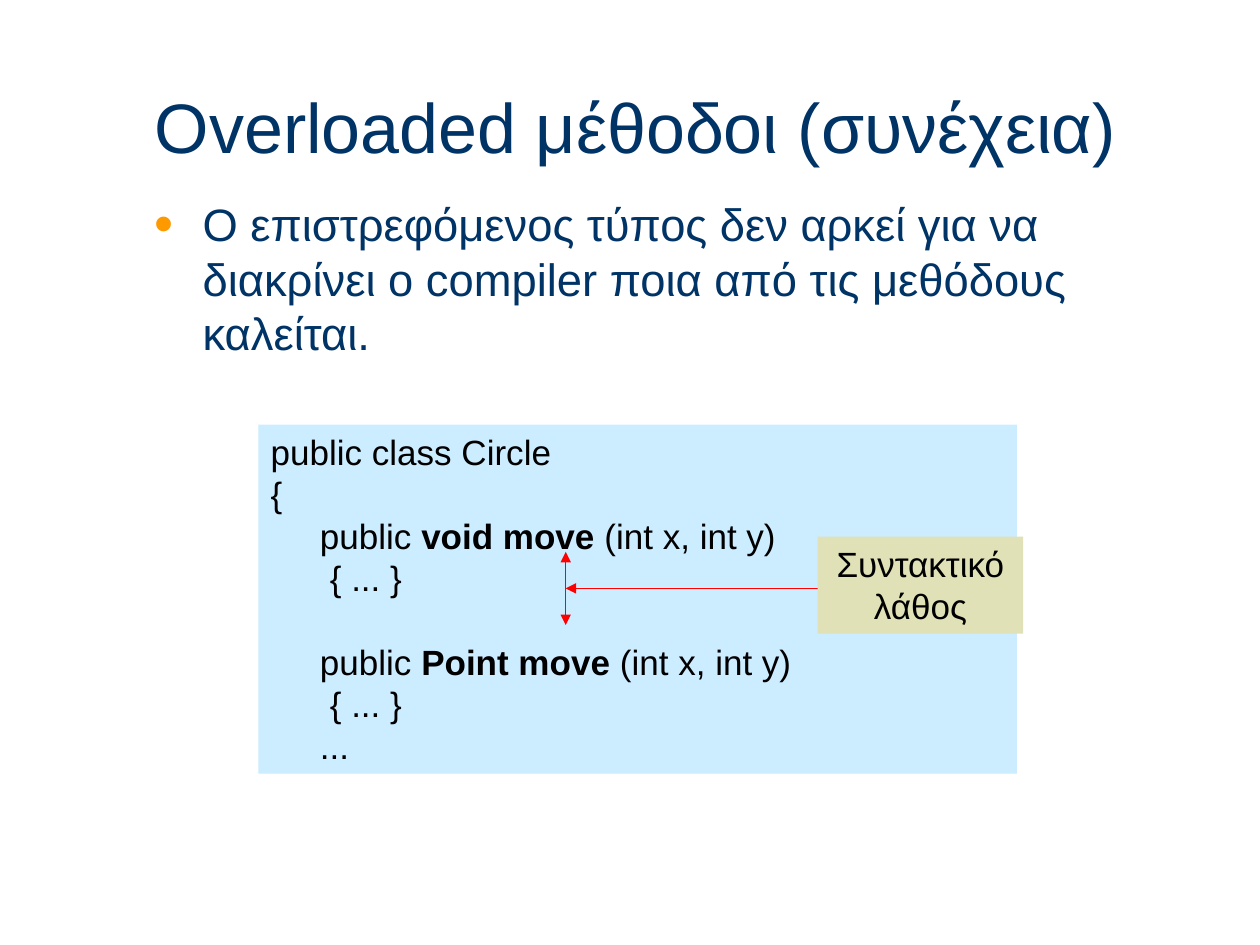
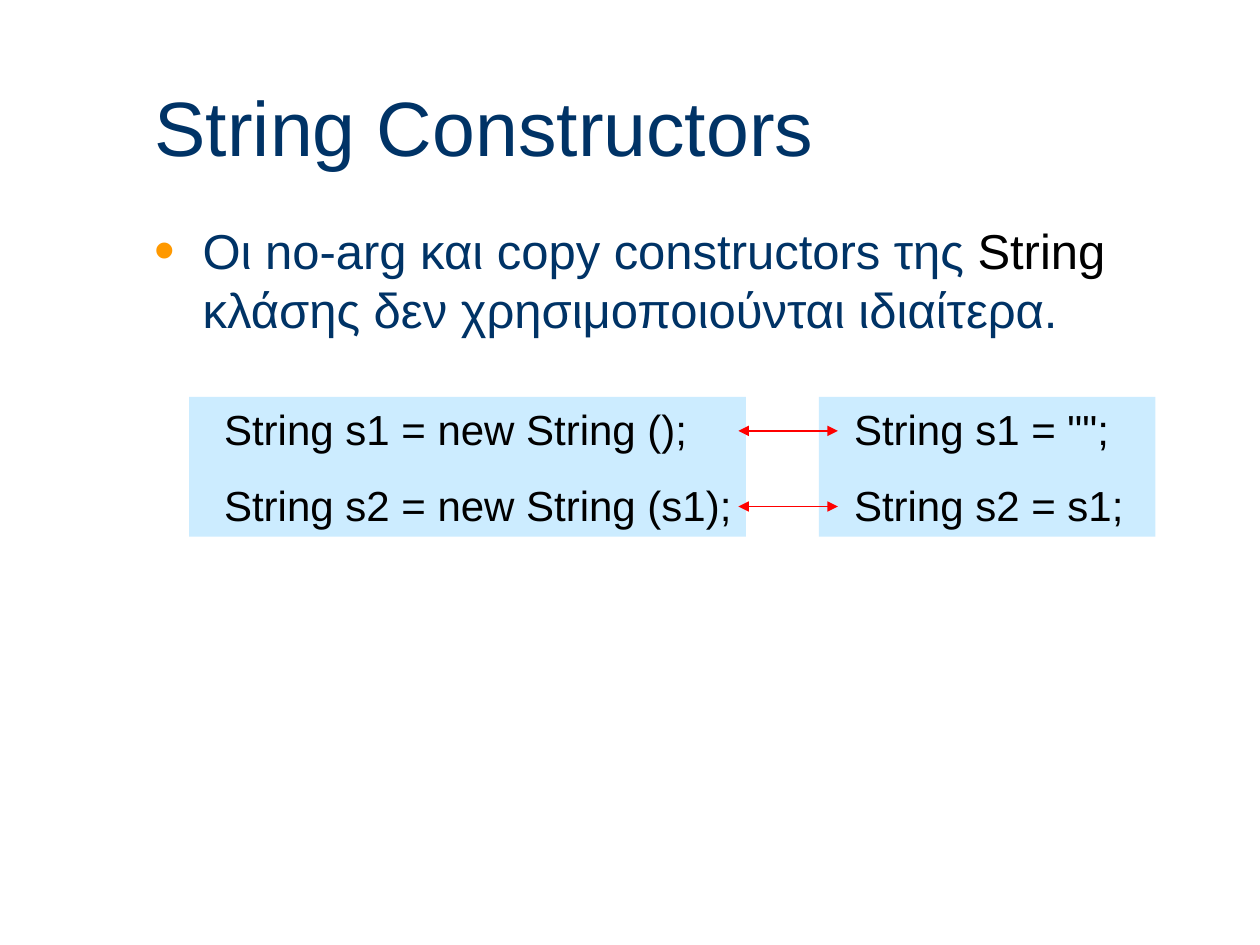
import dataclasses

import pptx
import pptx.dml.color
import pptx.enum.shapes
import pptx.enum.text
import pptx.oxml.ns
import pptx.util
from lxml import etree

RGB = pptx.dml.color.RGBColor.from_string
ANCHOR = pptx.enum.text.MSO_ANCHOR
ALIGN = pptx.enum.text.PP_ALIGN
Inches = pptx.util.Inches
Pt = pptx.util.Pt


@dataclasses.dataclass(frozen=True)
class Theme:
    font: str = "Arial"
    ink: str = "003366"
    code_ink: str = "000000"
    bullet: str = "FF9900"
    code_fill: str = "CCECFF"
    note_fill: str = "E1E1B7"
    arrow: str = "FF0000"
    arrow_width: float = 0.75
    code_size: int = 20
    large_code_size: int = 24
    code_indent: float = 0.39
    bullet_indent: float = 0.38


THEME = Theme()
WIDTH, HEIGHT = 10, 7.5
LEFT, CONTENT_WIDTH = 1.13, 8.5


def apply(target, formats):
    for name, value in formats.items():
        setattr(target, name, value)


def add_xml(parent, tag, **attributes):
    return etree.SubElement(parent, pptx.oxml.ns.qn(tag), attributes)


def write(paragraph, runs, size, color, **formats):
    """Fill a paragraph with (text, font overrides) runs; plain strings are allowed."""
    apply(paragraph, formats)
    for piece in [runs] if isinstance(runs, str) else runs:
        text, overrides = (piece, {}) if isinstance(piece, str) else piece
        run = paragraph.add_run()
        run.text = text
        style = {"name": THEME.font, "size": Pt(size), "bold": False, **overrides}
        run.font.color.rgb = RGB(style.pop("color", color))
        apply(run.font, style)


def indent(paragraph, left, hanging=0.0):
    properties = paragraph._p.get_or_add_pPr()
    properties.set("marL", str(Inches(left)))
    properties.set("indent", str(-Inches(hanging)))
    return properties


def add_text_area(slide, box, anchor=ANCHOR.TOP):
    frame = slide.shapes.add_textbox(*map(Inches, box)).text_frame
    apply(frame, {"word_wrap": True, "vertical_anchor": anchor})
    return frame.paragraphs[0]


def add_title(slide, text, size):
    paragraph = add_text_area(slide, (LEFT, 0.53, CONTENT_WIDTH, 0.94), ANCHOR.MIDDLE)
    write(paragraph, text, size, THEME.ink)


def add_bullet(slide, runs, top, width, height, size):
    paragraph = add_text_area(slide, (LEFT, top, width, height))
    write(paragraph, runs, size, THEME.ink, space_before=Pt(10.5))
    properties = indent(paragraph, THEME.bullet_indent, THEME.bullet_indent)
    add_xml(add_xml(properties, "a:buClr"), "a:srgbClr", val=THEME.bullet)
    add_xml(properties, "a:buSzPct", val="120000")
    add_xml(properties, "a:buFont", typeface=THEME.font)
    add_xml(properties, "a:buChar", char="•")


def add_panel(slide, box, fill):
    """Add a borderless filled rectangle and return its text frame."""
    panel = slide.shapes.add_shape(
        pptx.enum.shapes.MSO_SHAPE.RECTANGLE, *map(Inches, box))
    panel.shadow.inherit = False
    panel.fill.solid()
    panel.fill.fore_color.rgb = RGB(fill)
    panel.line.fill.background()
    apply(panel.text_frame, {"word_wrap": True, "vertical_anchor": ANCHOR.TOP})
    return panel.text_frame


def add_code(slide, box, lines, size):
    """Write (runs, left indent, space before in points) lines on a code panel."""
    frame = add_panel(slide, box, THEME.code_fill)
    for row, (runs, left, gap) in enumerate(lines):
        paragraph = frame.add_paragraph() if row else frame.paragraphs[0]
        write(paragraph, runs, size, THEME.code_ink,
              alignment=ALIGN.LEFT, space_before=Pt(gap))
        indent(paragraph, left)


def add_arrow(slide, start, end, both_ends=True):
    arrow = slide.shapes.add_connector(
        pptx.enum.shapes.MSO_CONNECTOR.STRAIGHT, *map(Inches, (*start, *end)))
    arrow.line.color.rgb = RGB(THEME.arrow)
    arrow.line.width = Pt(THEME.arrow_width)
    outline = arrow.line._get_or_add_ln()
    for tag in ("a:headEnd", "a:tailEnd") if both_ends else ("a:tailEnd",):
        add_xml(outline, tag, type="triangle")
    add_xml(arrow._element.spPr, "a:effectLst")


def build_overloading(slide):
    add_title(slide, "Overloaded μέθοδοι (συνέχεια)", 40)
    add_bullet(slide, "Ο επιστρεφόμενος τύπος δεν αρκεί για να διακρίνει ο "
               "compiler ποια από τις μεθόδους καλείται.",
               1.51, CONTENT_WIDTH, 1.42, 25.9)

    member, body, blank_line = THEME.code_indent, THEME.code_indent + 0.08, 24

    def method(signature, gap):
        return [(["public ", (signature, {"bold": True}), " (int x, int y)"],
                 member, gap), ("{ ... }", body, 0)]

    add_code(slide, (2.05, 3.37, 6.02, 2.77),
             [("public class Circle", 0, 0), ("{", 0, 0),
              *method("void move", 0), *method("Point move", blank_line),
              ("...", member, 0)], THEME.code_size)

    clash_x, clash_y, reach = 4.49, 4.67, 0.29
    add_arrow(slide, (clash_x, clash_y - reach), (clash_x, clash_y + reach))
    add_arrow(slide, (6.69, clash_y), (clash_x, clash_y), both_ends=False)
    note = add_panel(slide, (6.49, 4.26, 1.63, 0.77), THEME.note_fill)
    write(note.paragraphs[0], "Συντακτικό λάθος", THEME.code_size,
          THEME.code_ink, alignment=ALIGN.CENTER, space_before=Pt(12.5))


def build_constructors(slide):
    add_title(slide, "String Constructors", 44)
    add_bullet(slide, ["Οι no-arg και copy constructors της ",
                       ("String", {"color": THEME.code_ink}),
                       " κλάσης δεν χρησιμοποιούνται ιδιαίτερα."],
               1.7, 8.18, 1.3, 28)

    equivalents = [("String s1 = new String ();", 'String s1 = "";'),
                   ("String s2 = new String (s1);", "String s2 = s1;")]
    columns = [(1.5, 4.42), (6.5, 2.67)]
    for (left, width), statements in zip(columns, zip(*equivalents)):
        add_code(slide, (left, 3.15, width, 1.11),
                 [(statement, 0.18, 15) for statement in statements],
                 THEME.large_code_size)
    for row in range(len(equivalents)):
        y = 3.42 + 0.6 * row
        add_arrow(slide, (5.86, y), (6.65, y))


def main():
    deck = pptx.Presentation()
    apply(deck, {"slide_width": Inches(WIDTH), "slide_height": Inches(HEIGHT)})
    blank = deck.slide_layouts[6]
    for build in (build_overloading, build_constructors):
        build(deck.slides.add_slide(blank))
    deck.save("out.pptx")


if __name__ == "__main__":
    main()
